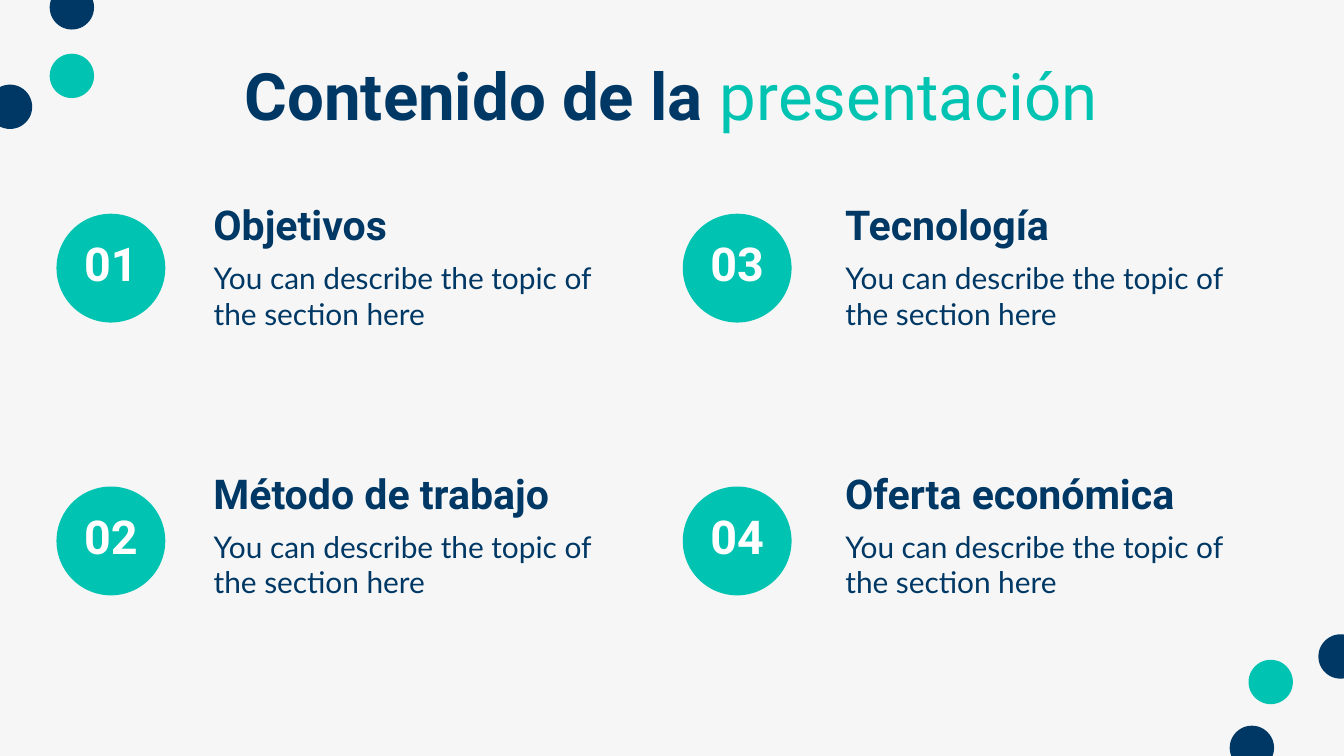
from pptx import Presentation
from pptx.dml.color import RGBColor
from pptx.enum.shapes import MSO_SHAPE
from pptx.enum.text import MSO_ANCHOR, MSO_AUTO_SIZE, PP_ALIGN
from pptx.oxml.ns import qn
from pptx.util import Inches, Pt

NAVY = RGBColor(0x00, 0x38, 0x65)
TEAL = RGBColor(0x00, 0xC3, 0xB1)
WHITE = RGBColor(0xFF, 0xFF, 0xFF)
PAPER = RGBColor(0xF6, 0xF6, 0xF6)

DOTS = [
    (9.81, 4.72, NAVY), (9.15, 5.4, NAVY), (9.29, 4.91, TEAL),
    (-0.09, 0.63, NAVY), (0.37, 0.4, TEAL), (0.37, -0.11, NAVY),
]
TOPICS = ["Objetivos", "Método de trabajo", "Tecnología", "Oferta económica"]
DESCRIPTION = "You can describe the topic of the section here"
COLUMNS = [(0.42, 1.49), (5.08, 6.19)]
ROWS = [(1.59, 1.56), (3.62, 3.56)]


def write(frame, *pieces, font="Roboto", size=16, bold=False, color=NAVY,
          align=PP_ALIGN.LEFT, anchor=MSO_ANCHOR.TOP, spacing=1.0, inset=0.1, wrap=True):
    frame.auto_size = MSO_AUTO_SIZE.NONE
    frame.word_wrap = wrap
    frame.vertical_anchor = anchor
    frame.margin_left = frame.margin_right = Inches(inset)
    frame.margin_top = frame.margin_bottom = Inches(inset)
    paragraph = frame.paragraphs[0]
    paragraph.alignment = align
    paragraph.line_spacing = spacing
    paragraph.space_before = Pt(0)
    for piece in pieces:
        text, piece_bold, piece_color = piece if isinstance(piece, tuple) else (piece, bold, color)
        run = paragraph.add_run()
        run.text = text
        run.font.name = font
        run.font.size = Pt(size)
        run.font.bold = piece_bold
        run.font.color.rgb = piece_color
    return paragraph


class ContentsSlide:
    heading = {"bold": True, "spacing": 0.8}

    def __init__(self, presentation):
        self.slide = presentation.slides.add_slide(presentation.slide_layouts[4])
        background = self.slide.background.fill
        background.solid()
        background.fore_color.rgb = PAPER

    def place(self, holder, left, top, width, height):
        holder.left, holder.top = Inches(left), Inches(top)
        holder.width, holder.height = Inches(width), Inches(height)

    def circle(self, left, top, diameter, color):
        circle = self.slide.shapes.add_shape(
            MSO_SHAPE.OVAL, Inches(left), Inches(top), Inches(diameter), Inches(diameter))
        circle.shadow.inherit = False
        circle.fill.solid()
        circle.fill.fore_color.rgb = color
        circle.line.fill.background()
        return circle

    def title(self, *pieces):
        title = self.slide.shapes.title
        self.place(title, 0.79, 0.42, 8.41, 0.63)
        write(title.text_frame, *pieces, size=35, align=PP_ALIGN.CENTER, spacing=0.8)

    def number(self, left, top, label):
        badge = self.circle(left, top, 0.81, TEAL)
        write(badge.text_frame, label, size=25, color=WHITE, align=PP_ALIGN.CENTER,
              anchor=MSO_ANCHOR.MIDDLE, inset=0, wrap=False, **self.heading)

    def topic(self, left, top, name):
        topic = self.slide.shapes.add_textbox(
            Inches(left), Inches(top), Inches(3.2), Inches(0.39))
        write(topic.text_frame, name, size=22, anchor=MSO_ANCHOR.BOTTOM, **self.heading)

    def description(self, index, left, top, text):
        body = self.slide.placeholders[index]
        self.place(body, left, top, 3.2, 0.63)
        properties = write(body.text_frame, text, font="Lato")._p.get_or_add_pPr()
        properties.set("marL", "0")
        properties.set("indent", "0")
        properties.append(properties.makeelement(qn("a:buNone"), {}))


def main():
    presentation = Presentation()
    presentation.slide_width = Inches(10)
    presentation.slide_height = presentation.slide_width * 9 // 16
    contents = ContentsSlide(presentation)
    for left, top, color in DOTS:
        contents.circle(left, top, 0.33, color)
    contents.title(("Contenido de la ", True, NAVY), ("presentación", False, TEAL))
    for order, name in enumerate(TOPICS):
        column, row = divmod(order, len(ROWS))
        badge_left, text_left = COLUMNS[column]
        badge_top, topic_top = ROWS[row]
        contents.number(badge_left, badge_top, f"{order + 1:02}")
        contents.topic(text_left, topic_top, name)
        contents.description(order + 1, text_left, topic_top + 0.27, DESCRIPTION)
    presentation.save("out.pptx")


if __name__ == "__main__":
    main()
